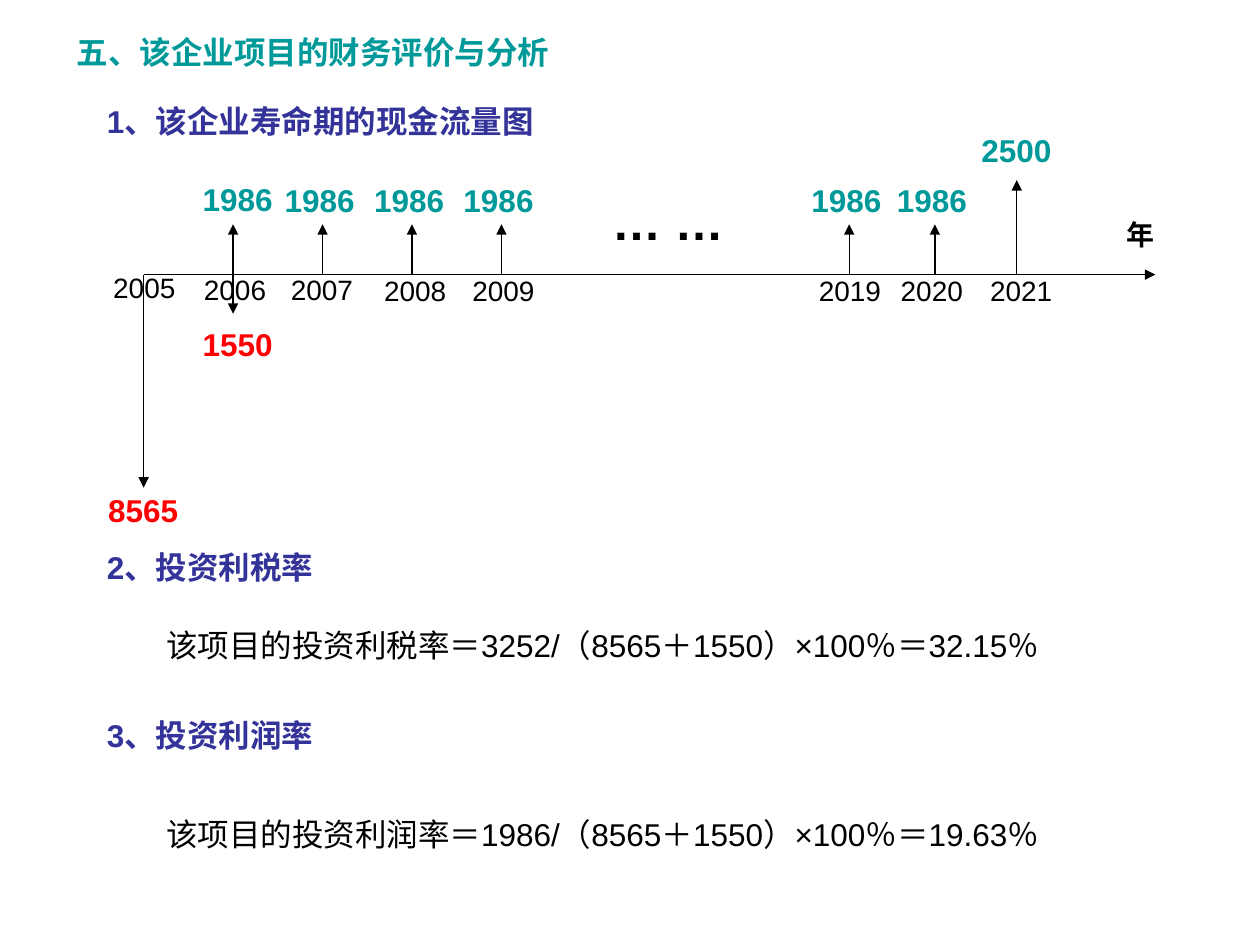
from dataclasses import dataclass

from lxml import etree
from pptx import Presentation
from pptx.dml.color import RGBColor
from pptx.enum.shapes import MSO_CONNECTOR
from pptx.enum.text import MSO_ANCHOR, MSO_AUTO_SIZE, PP_ALIGN
from pptx.oxml.ns import qn
from pptx.util import Inches, Pt

STRAIGHT = MSO_CONNECTOR.STRAIGHT
TOP = MSO_ANCHOR.TOP
LEFT = PP_ALIGN.LEFT
FIT = MSO_AUTO_SIZE.SHAPE_TO_FIT_TEXT


@dataclass(frozen=True)
class Theme:
    face: str = "Arial"
    ink: str = "000000"
    teal: str = "009999"
    navy: str = "333399"
    red: str = "FF0000"
    body: int = 18
    small: int = 16
    large: int = 28
    line: float = 0.75


class Page:
    def __init__(self, deck, theme):
        self.theme = theme
        self.slide = deck.slides.add_slide(deck.slide_layouts[5])

    def fill(self, shape, text, left, top, width, size, color, bold):
        shape.left, shape.top = Inches(left), Inches(top)
        shape.width = Inches(width)
        shape.height = Inches(size * 1.2 / 72 + 0.1)
        frame = shape.text_frame
        frame.word_wrap = True
        frame.auto_size = FIT
        frame.vertical_anchor = TOP
        frame.text = text
        para = frame.paragraphs[0]
        para.alignment = LEFT
        font = para.font
        font.name = self.theme.face
        font.size = Pt(size)
        font.bold = bold
        font.color.rgb = RGBColor.from_string(color)

    def title(self, text, left, top, width):
        theme = self.theme
        self.fill(self.slide.shapes.title, text, left, top, width,
                  theme.body, theme.teal, True)

    def text(self, text, left, top, width, size, color, bold=False):
        box = self.slide.shapes.add_textbox(0, 0, 0, 0)
        self.fill(box, text, left, top, width, size, color, bold)

    def arrow(self, x1, y1, x2, y2):
        line = self.slide.shapes.add_connector(
            STRAIGHT, Inches(x1), Inches(y1), Inches(x2), Inches(y2))
        line.line.width = Pt(self.theme.line)
        line.line.color.rgb = RGBColor.from_string(self.theme.ink)
        etree.SubElement(line.line._get_or_add_ln(), qn("a:tailEnd"),
                         type="triangle")
        etree.SubElement(line._element.spPr, qn("a:effectLst"))


AXIS = 2.18
START = 1.14
STEP = 0.71

YEARS = [
    ("2005", 0.8, 2.1), ("2006", 1.52, 2.11), ("2007", 2.21, 2.11),
    ("2008", 2.95, 2.12), ("2009", 3.65, 2.12), ("2019", 6.4, 2.12),
    ("2020", 7.05, 2.12), ("2021", 7.76, 2.12),
]

FLOWS = [
    ("8565", START, 3.87, 0.76, 3.85),
    ("1550", START + STEP, 2.49, 1.51, 2.53),
    ("1986", START + STEP, 1.78, 1.51, 1.38),
    ("1986", START + 2 * STEP, 1.78, 2.16, 1.39),
    ("1986", START + 3 * STEP, 1.78, 2.87, 1.39),
    ("1986", START + 4 * STEP, 1.78, 3.58, 1.39),
    ("1986", 6.74, 1.78, 6.34, 1.39),
    ("1986", 7.42, 1.78, 7.02, 1.39),
    ("2500", 8.07, 1.43, 7.69, 0.99),
]

HEADS = [
    ("1、该企业寿命期的现金流量图", 0.76),
    ("2、投资利税率", 4.3),
    ("3、投资利润率", 5.63),
]

RATES = [
    ("该项目的投资利税率＝3252/（8565＋1550）×100％＝32.15％", 4.92),
    ("该项目的投资利润率＝1986/（8565＋1550）×100％＝19.63％", 6.42),
]


def main():
    deck = Presentation()
    deck.slide_width, deck.slide_height = Inches(10), Inches(7.5)
    theme = Theme()
    page = Page(deck, theme)
    page.title("五、该企业项目的财务评价与分析", 0.51, 0.21, 8.58)
    for head, top in HEADS:
        page.text(head, 0.75, top, 8.74, theme.body, theme.navy, True)

    page.arrow(START, AXIS, 9.17, AXIS)
    for year, left, top in YEARS:
        page.text(year, left, top, 0.71, theme.small, theme.ink)
    for sum_, x, tip, left, top in FLOWS:
        page.arrow(x, AXIS, x, tip)
        color = theme.red if tip > AXIS else theme.teal
        page.text(sum_, left, top, 0.79, theme.body, color, True)
    page.text("… …", 4.76, 1.47, 1.26, theme.large, theme.ink, True)
    page.text("年", 8.84, 1.68, 0.47, theme.small, theme.ink, True)

    for rate, top in RATES:
        page.text(rate, 1.22, top, 8.03, theme.body, theme.ink)
    deck.save("out.pptx")


if __name__ == "__main__":
    main()
